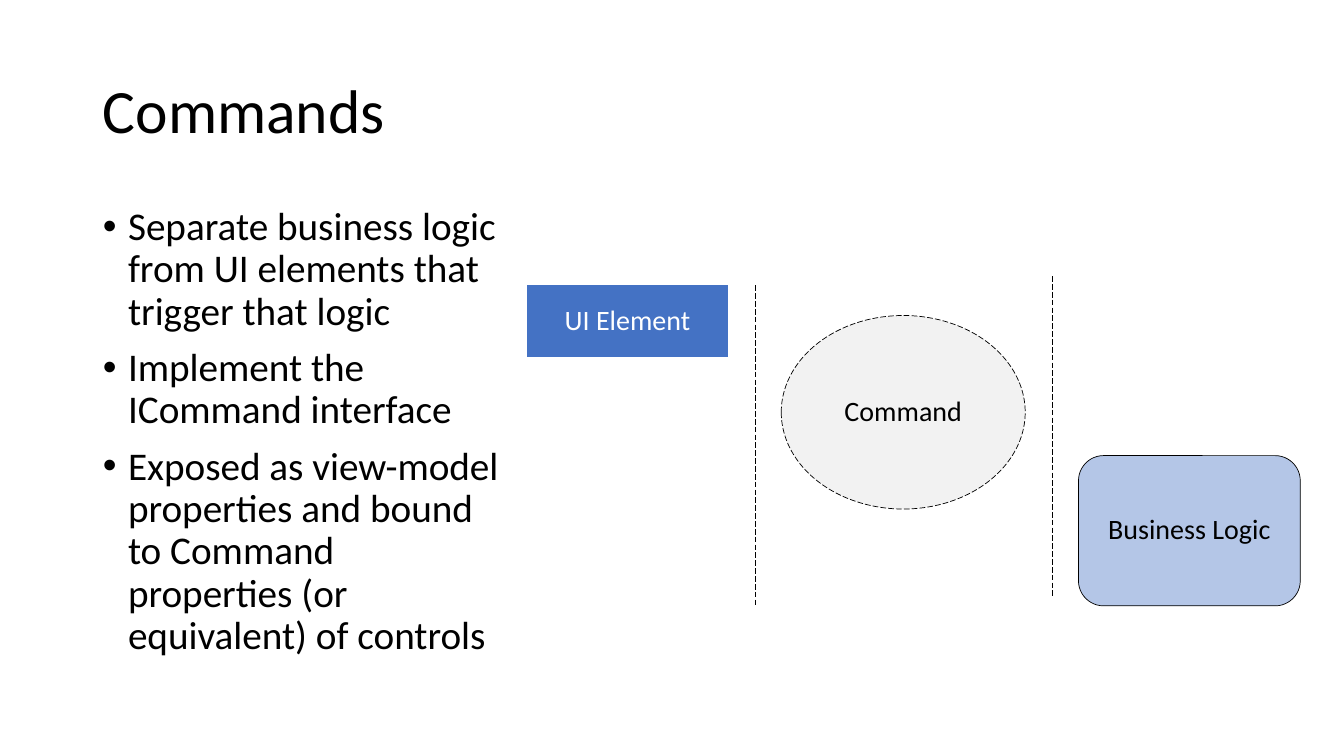
import pptx
import pptx.dml.color
import pptx.enum.dml
import pptx.enum.shapes
import pptx.enum.text
import pptx.oxml
import pptx.oxml.ns
import pptx.util
from lxml import etree

RGBColor = pptx.dml.color.RGBColor
BLACK = RGBColor(0x00, 0x00, 0x00)
WHITE = RGBColor(0xFF, 0xFF, 0xFF)
BLUE = RGBColor(0x44, 0x72, 0xC4)
LIGHT_GRAY = RGBColor(0xF2, 0xF2, 0xF2)

FONT = "Calibri"
SLIDE_WIDTH = pptx.util.Inches(13.333)
SLIDE_HEIGHT = pptx.util.Inches(7.5)
SHAPES = pptx.enum.shapes.MSO_SHAPE
ALIGN = pptx.enum.text.PP_ALIGN
ANCHOR = pptx.enum.text.MSO_ANCHOR

# Shares of the slide in percent
MARGIN = 6.9
DIAGRAM_TOP = 37.73
DIVIDER_HEIGHT = 42.4

BULLETS = [
    "Separate business logic from UI elements that trigger that logic",
    "Implement the ICommand interface",
    "Exposed as view-model properties and bound to Command properties "
    "(or equivalent) of controls",
]


def across(percent):
    return round(SLIDE_WIDTH * percent / 100)


def down(percent):
    return round(SLIDE_HEIGHT * percent / 100)


def place(shape, left, top, width, height):
    shape.left, shape.top = across(left), down(top)
    shape.width, shape.height = across(width), down(height)


def format_paragraph(paragraph, size, color, alignment):
    paragraph.alignment = alignment
    paragraph.line_spacing = 0.9
    for run in paragraph.runs:
        run.font.name = FONT
        run.font.size = pptx.util.Pt(size)
        run.font.color.rgb = color


def fill_title(title, text):
    place(title, MARGIN, 5.33, 86.25, 19.33)
    title.text_frame.text = text
    title.text_frame.vertical_anchor = ANCHOR.MIDDLE
    format_paragraph(title.text_frame.paragraphs[0], 44, BLACK, ALIGN.LEFT)


def add_bullet(paragraph):
    indent = pptx.util.Inches(0.25)
    properties = paragraph._p.get_or_add_pPr()
    properties.set("marL", str(indent))
    properties.set("indent", str(-indent))
    font = etree.SubElement(properties, pptx.oxml.ns.qn("a:buFont"))
    font.set("typeface", "Arial")
    bullet = etree.SubElement(properties, pptx.oxml.ns.qn("a:buChar"))
    bullet.set("char", "•")


def fill_body(body, texts):
    place(body, MARGIN, 26.67, 31.05, 63.47)
    frame = body.text_frame
    frame.text = "\n".join(texts)
    frame.auto_size = pptx.enum.text.MSO_AUTO_SIZE.NONE
    for paragraph in frame.paragraphs:
        format_paragraph(paragraph, 28, BLACK, ALIGN.LEFT)
        paragraph.space_before = pptx.util.Pt(10)
        add_bullet(paragraph)


def format_line(line, dashed):
    line.color.rgb = BLACK
    line.width = pptx.util.Pt(0.5)
    if dashed:
        line.dash_style = pptx.enum.dml.MSO_LINE.LONG_DASH


def add_node(diagram, kind, text, box, fill, color=BLACK, outlined=True, dashed=False):
    node = diagram.shapes.add_shape(kind, 0, 0, 0, 0)
    place(node, *box)
    node.shadow.inherit = False
    node.fill.solid()
    node.fill.fore_color.rgb = fill
    if outlined:
        format_line(node.line, dashed)
    else:
        node.line.fill.background()

    frame = node.text_frame
    frame.word_wrap = True
    frame.vertical_anchor = ANCHOR.MIDDLE
    frame.margin_left = frame.margin_right = pptx.util.Inches(0.2)
    frame.margin_top = frame.margin_bottom = pptx.util.Inches(0.16)
    frame.text = text
    format_paragraph(frame.paragraphs[0], 20, color, ALIGN.CENTER)
    return node


def set_opacity(shape, percent):
    color = shape._element.spPr.find(".//" + pptx.oxml.ns.qn("a:srgbClr"))
    alpha = etree.SubElement(color, pptx.oxml.ns.qn("a:alpha"))
    alpha.set("val", str(percent * 1000))


def add_divider(diagram, left, top):
    divider = diagram.shapes.add_connector(
        pptx.enum.shapes.MSO_CONNECTOR.STRAIGHT,
        across(left), down(top), across(left), down(top + DIVIDER_HEIGHT))
    format_line(divider.line, dashed=True)
    etree.SubElement(divider._element.spPr, pptx.oxml.ns.qn("a:effectLst"))


def main():
    presentation = pptx.Presentation()
    presentation.slide_width = SLIDE_WIDTH
    presentation.slide_height = SLIDE_HEIGHT
    slide = presentation.slides.add_slide(presentation.slide_layouts[1])

    # Title and list
    fill_title(slide.shapes.title, "Commands")
    fill_body(slide.placeholders[1], BULLETS)

    # Diagram: element, command and logic
    diagram = slide.shapes.add_group_shape()
    logic = add_node(diagram, SHAPES.FLOWCHART_ALTERNATE_PROCESS, "Business Logic",
                     (80.25, 60.27, 16.5, 19.87), BLUE)
    set_opacity(logic, 40)
    add_node(diagram, SHAPES.RECTANGLE, "UI Element",
             (39.23, DIAGRAM_TOP, 14.93, 9.47), BLUE, WHITE, outlined=False)
    add_node(diagram, SHAPES.OVAL, "Command",
             (58.13, 41.73, 18.15, 25.6), LIGHT_GRAY, dashed=True)

    # Dividers between the three parts
    add_divider(diagram, 56.18, DIAGRAM_TOP)
    add_divider(diagram, 78.3, 36.53)

    presentation.save("out.pptx")


if __name__ == "__main__":
    main()
